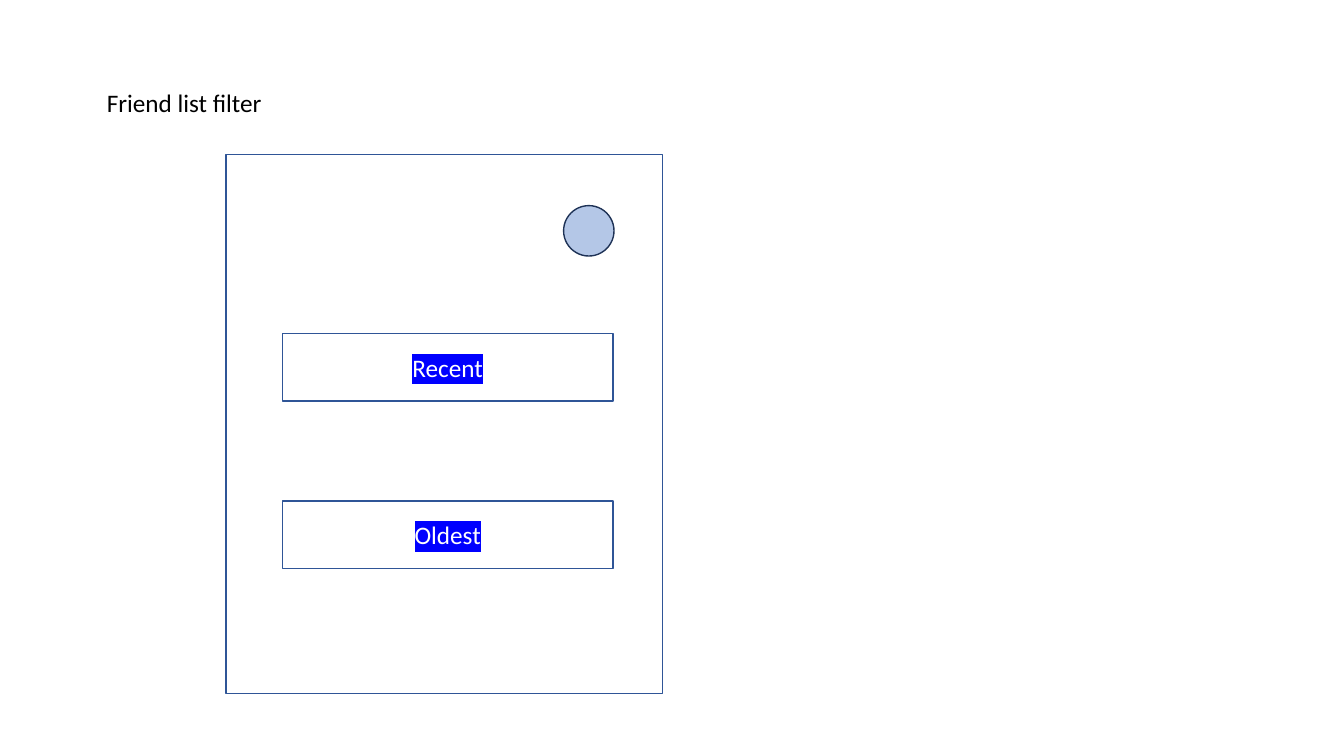
"""Build a slide with a wireframe of the friend list filter."""
from lxml import etree
from pptx import Presentation
from pptx.dml.color import RGBColor
from pptx.enum.shapes import MSO_SHAPE
from pptx.enum.text import MSO_ANCHOR, MSO_AUTO_SIZE, PP_ALIGN
from pptx.oxml.ns import qn
from pptx.util import Inches, Pt

RECTANGLE = MSO_SHAPE.RECTANGLE
CIRCLE = MSO_SHAPE.FLOWCHART_CONNECTOR
TOP, MIDDLE = MSO_ANCHOR.TOP, MSO_ANCHOR.MIDDLE
LEFT, CENTER = PP_ALIGN.LEFT, PP_ALIGN.CENTER
FIT_SHAPE = MSO_AUTO_SIZE.SHAPE_TO_FIT_TEXT
WHITE, BLACK, BLUE = "FFFFFF", "000000", "2F5597"


def write(box, text, color=BLACK, align=LEFT, anchor=TOP, highlight=None):
    frame = box.text_frame
    frame.word_wrap = True
    frame.vertical_anchor = anchor
    para = frame.paragraphs[0]
    para.alignment = align
    para.line_spacing = 1.0
    span = para.add_run()
    span.text = text
    span.font.name = "Calibri"
    span.font.size = Pt(18)
    span.font.color.rgb = RGBColor.from_string(color)
    if highlight:
        mark = etree.Element(qn("a:highlight"))
        etree.SubElement(mark, qn("a:srgbClr"), val=highlight)
        span.font.fill._xPr.find(qn("a:solidFill")).addnext(mark)


def add_box(kind, left, top, width, height, fill=WHITE, line=BLUE):
    box = slide.shapes.add_shape(kind, Inches(left), Inches(top), Inches(width), Inches(height))
    box.shadow.inherit = False
    box.fill.solid()
    box.fill.fore_color.rgb = RGBColor.from_string(fill)
    box.line.color.rgb = RGBColor.from_string(line)
    box.line.width = Pt(1)
    return box


deck = Presentation()
deck.slide_width, deck.slide_height = Inches(13.33), Inches(7.5)
slide = deck.slides.add_slide(deck.slide_layouts[5])

title = slide.shapes.title
title.left, title.top = Inches(0.96), Inches(0.82)
title.width, title.height = Inches(4.44), Inches(0.4)
write(title, "Friend list filter")
title.text_frame.auto_size = FIT_SHAPE

add_box(RECTANGLE, 2.24, 1.53, 4.33, 5.35)
for row, label in enumerate(["Recent", "Oldest"]):
    button = add_box(RECTANGLE, 2.8, 3.31 + row * 1.66, 3.28, 0.67)
    write(button, label, color=WHITE, align=CENTER, anchor=MIDDLE, highlight="0000FF")
add_box(CIRCLE, 5.59, 2.04, 0.5, 0.5, fill="B4C7E7", line="1E3256")

deck.save("out.pptx")
